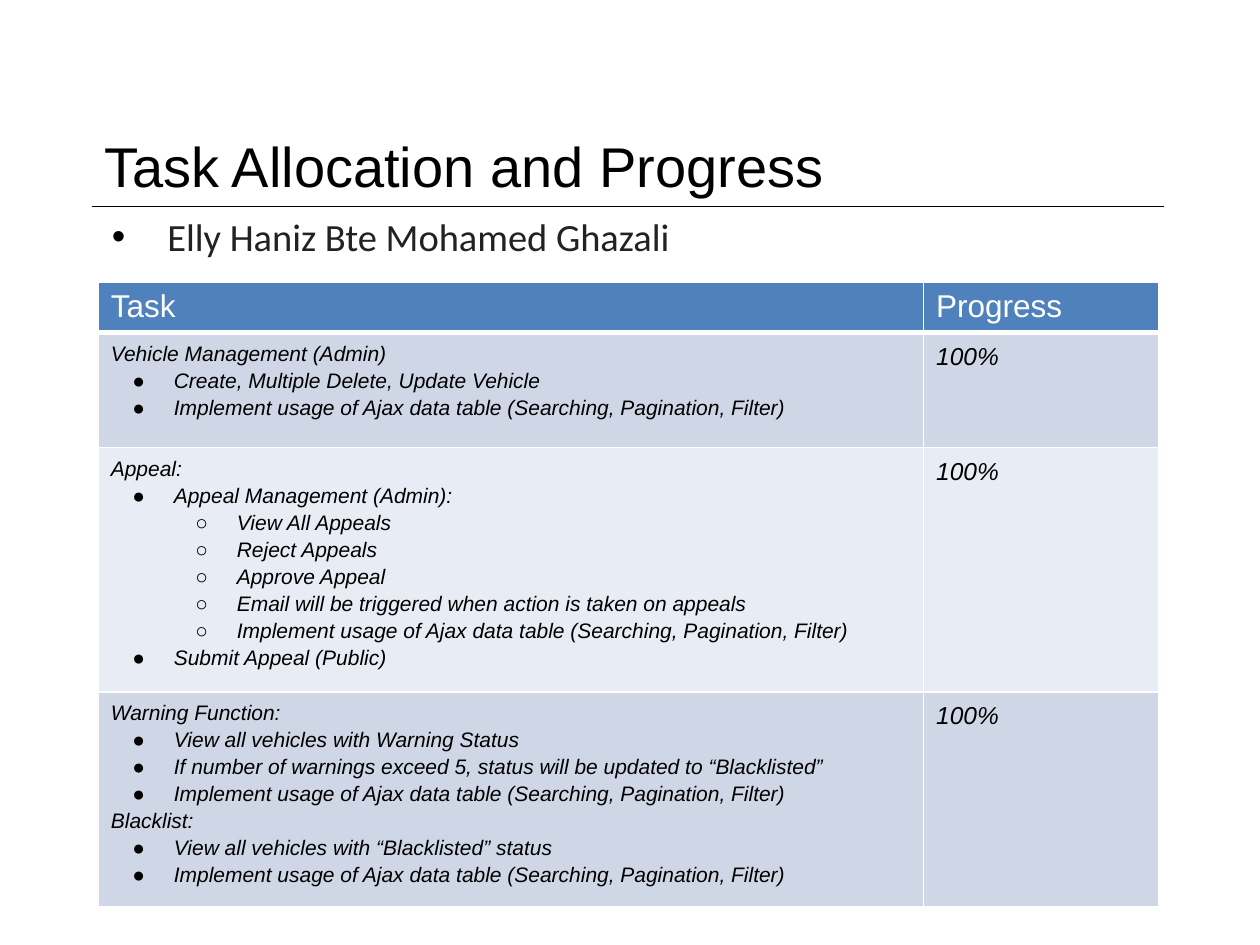
from lxml.etree import SubElement
from pptx import Presentation
from pptx.dml.color import RGBColor
from pptx.enum.shapes import MSO_CONNECTOR
from pptx.enum.text import MSO_ANCHOR
from pptx.oxml import parse_xml
from pptx.oxml.ns import nsdecls, qn
from pptx.util import Pt

PX = 9144
BLACK = RGBColor(0x00, 0x00, 0x00)
WHITE = RGBColor(0xFF, 0xFF, 0xFF)
CHARCOAL = RGBColor(0x22, 0x22, 0x22)
BLUE = RGBColor(0x4F, 0x81, 0xBD)
BANDS = [RGBColor(0xCF, 0xD7, 0xE7), RGBColor(0xE8, 0xEC, 0xF4)]
BULLETS = {1: "●", 2: "○"}

AJAX = "Implement usage of Ajax data table (Searching, Pagination, Filter)"
HEADERS = ["Task\u00a0", "Progress"]
TASKS = [
    ([(0, "Vehicle Management (Admin)"),
      (1, "Create, Multiple Delete, Update Vehicle"),
      (1, AJAX)], "100%"),
    ([(0, "Appeal:"),
      (1, "Appeal Management (Admin):"),
      (2, "View All Appeals"),
      (2, "Reject Appeals"),
      (2, "Approve Appeal"),
      (2, "Email will be triggered when action is taken on appeals"),
      (2, AJAX),
      (1, "Submit Appeal (Public)")], "100%"),
    ([(0, "Warning Function:"),
      (1, "View all vehicles with Warning Status"),
      (1, "If number of warnings exceed 5, status will be updated to “Blacklisted”"),
      (1, AJAX),
      (0, "Blacklist:"),
      (1, "View all vehicles with “Blacklisted” status"),
      (1, AJAX)], "100%"),
]


class SlideBuilder:
    def __init__(self, prs, font="Arial"):
        self.font = font
        self.s = prs.slides.add_slide(prs.slide_layouts[6])

    def format(self, p, size, color, font=None, italic=None):
        for r in p.runs:
            r.font.name = font or self.font
            r.font.size = Pt(size)
            r.font.color.rgb = color
            r.font.italic = italic

    def bullet(self, p, char, left, hang):
        pPr = p._p.get_or_add_pPr()
        pPr.set("marL", str(left * PX))
        pPr.set("indent", str(-hang * PX))
        clr = SubElement(pPr, qn("a:buClr"))
        SubElement(clr, qn("a:srgbClr"), val=str(BLACK))
        SubElement(pPr, qn("a:buFont"), typeface="Arial")
        SubElement(pPr, qn("a:buChar"), char=char)

    def text(self, x, y, w, h, text, size, color, font=None, anchor=MSO_ANCHOR.TOP):
        sp = self.s.shapes.add_textbox(x * PX, y * PX, w * PX, h * PX)
        tf = sp.text_frame
        tf.word_wrap = True
        tf.vertical_anchor = anchor
        p = tf.paragraphs[0]
        p.text = text
        self.format(p, size, color, font)
        return p

    def line(self, x1, y1, x2, y2):
        cn = self.s.shapes.add_connector(
            MSO_CONNECTOR.STRAIGHT, x1 * PX, y1 * PX, x2 * PX, y2 * PX)
        cn.line.color.rgb = BLACK
        cn.line.width = Pt(0.75)
        SubElement(cn._element.spPr, qn("a:effectLst"))

    def table(self, x, y, widths, heights):
        table = self.s.shapes.add_table(
            len(heights), len(widths), x * PX, y * PX,
            sum(widths) * PX, sum(heights) * PX).table
        for col, w in zip(table.columns, widths):
            col.width = w * PX
        for row, h in zip(table.rows, heights):
            row.height = h * PX
        return table

    def cell(self, cell, items, size, color, fill, italic=None, spacing=None, bottom=1):
        cell.fill.solid()
        cell.fill.fore_color.rgb = fill
        self.borders(cell, bottom)
        tf = cell.text_frame
        tf.text = "\n".join(text for _, text in items)
        for p, (level, _) in zip(tf.paragraphs, items):
            p.line_spacing = spacing
            if level:
                p.level = level - 1
                self.bullet(p, BULLETS[level], 50 * level, 33)
            self.format(p, size, color, italic=italic)

    def borders(self, cell, bottom):
        tcPr = cell._tc.get_or_add_tcPr()
        for i, (side, width) in enumerate(zip("LRTB", (1, 1, 1, bottom))):
            tcPr.insert(i, parse_xml(
                f'<a:ln{side} {nsdecls("a")} w="{Pt(width)}"><a:solidFill>'
                f'<a:srgbClr val="{WHITE}"/></a:solidFill></a:ln{side}>'))


def main():
    prs = Presentation()
    prs.slide_width = 1000 * PX
    prs.slide_height = 750 * PX
    b = SlideBuilder(prs)

    b.line(73, 164, 924, 164)
    b.text(73, 98, 851, 66, "Task Allocation and Progress", 32, BLACK,
           anchor=MSO_ANCHOR.MIDDLE)
    name = b.text(73, 164, 851, 494, "Elly Haniz Bte Mohamed Ghazali", 22,
                  CHARCOAL, "Calibri")
    b.bullet(name, "•", 50, 44)

    table = b.table(78, 224, [655, 187], [37, 91, 182, 160])
    for col, header in enumerate(HEADERS):
        b.cell(table.cell(0, col), [(0, header)], 18, WHITE, BLUE, bottom=3)
    for row, (items, progress) in enumerate(TASKS, 1):
        fill = BANDS[(row - 1) % 2]
        b.cell(table.cell(row, 0), items, 12, BLACK, fill, True, 1.15)
        b.cell(table.cell(row, 1), [(0, progress)], 14, BLACK, fill, True, 1.15)

    prs.save("out.pptx")


if __name__ == "__main__":
    main()
